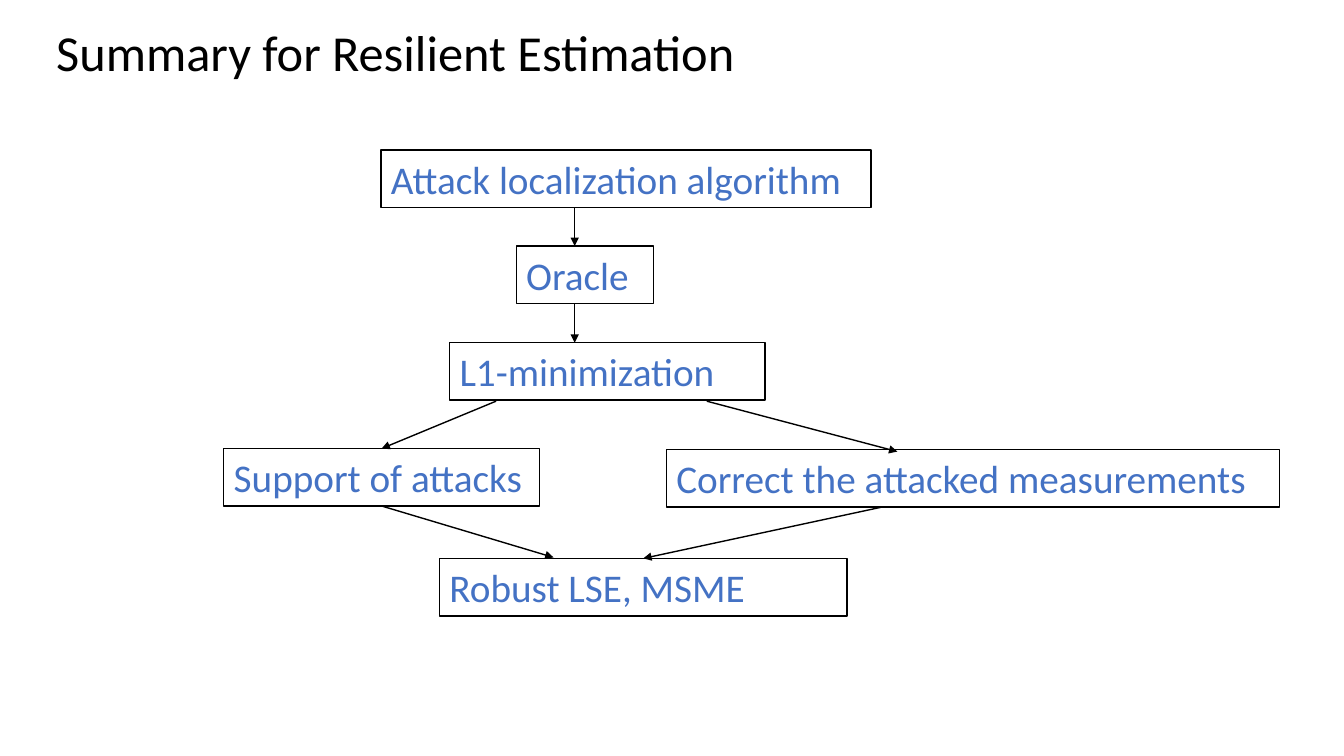
from lxml import etree
from pptx import Presentation
from pptx.dml.color import RGBColor
from pptx.enum.shapes import MSO_CONNECTOR, MSO_SHAPE
from pptx.enum.text import MSO_ANCHOR, PP_ALIGN
from pptx.oxml.ns import qn
from pptx.util import Pt

PX = 9144  # EMU per px, 100 px to the inch
FONT = "Calibri"
BLACK = RGBColor(0x00, 0x00, 0x00)
WHITE = RGBColor(0xFF, 0xFF, 0xFF)
BLUE = RGBColor(0x44, 0x72, 0xC4)
STRAIGHT = MSO_CONNECTOR.STRAIGHT
RECTANGLE = MSO_SHAPE.RECTANGLE
LEFT = PP_ALIGN.LEFT
TOP = MSO_ANCHOR.TOP
TOP_SITE, BOTTOM_SITE = 0, 2
BOX_HEIGHT = 57


def px(*lengths):
    return [length * PX for length in lengths]


def set_text(shape, text, size, color):
    frame = shape.text_frame
    frame.text = text
    frame.word_wrap = True
    frame.vertical_anchor = TOP
    paragraph = frame.paragraphs[0]
    paragraph.alignment = LEFT
    font = paragraph.runs[0].font
    font.name = FONT
    font.size = Pt(size)
    font.color.rgb = color


def add_title(slide, text):
    set_text(slide.shapes.add_textbox(*px(46, 16, 1287, 71)), text, 36, BLACK)


def add_step(slide, text, left, top, width):
    shape = slide.shapes.add_shape(RECTANGLE, *px(left, top, width, BOX_HEIGHT))
    shape.shadow.inherit = False
    shape.fill.solid()
    shape.fill.fore_color.rgb = WHITE
    shape.line.color.rgb = BLACK
    shape.line.width = Pt(1)
    set_text(shape, text, 28, BLUE)
    return shape


def add_arrow(slide, start, end):
    connector = slide.shapes.add_connector(STRAIGHT, *px(*start, *end))
    connector.line.color.rgb = BLACK
    connector.line.width = Pt(1)
    etree.SubElement(connector.line._get_or_add_ln(), qn("a:tailEnd"), type="triangle")
    etree.SubElement(connector._element.spPr, qn("a:effectLst"))
    return connector


def main():
    presentation = Presentation()
    presentation.slide_width, presentation.slide_height = px(1333, 750)
    slide = presentation.slides.add_slide(presentation.slide_layouts[6])

    add_title(slide, "Summary for Resilient Estimation")

    add_step(slide, "Attack localization algorithm", 378, 149, 486)
    add_step(slide, "Oracle", 512, 244, 136)
    add_step(slide, "L1-minimization", 446, 340, 313)
    support = add_step(slide, "Support of attacks", 222, 445, 313)
    add_step(slide, "Correct the attacked measurements", 661, 446, 608)
    add_step(slide, "Robust LSE, MSME", 436, 554, 404)

    add_arrow(slide, (570, 206), (570, 244))
    add_arrow(slide, (570, 301), (570, 340))
    to_support = add_arrow(slide, (492, 398), (378, 445))
    to_support.end_connect(support, TOP_SITE)
    add_arrow(slide, (701, 398), (890, 448))
    from_support = add_arrow(slide, (378, 502), (549, 553))
    from_support.begin_connect(support, BOTTOM_SITE)
    add_arrow(slide, (875, 503), (638, 554))

    presentation.save("out.pptx")


if __name__ == "__main__":
    main()
